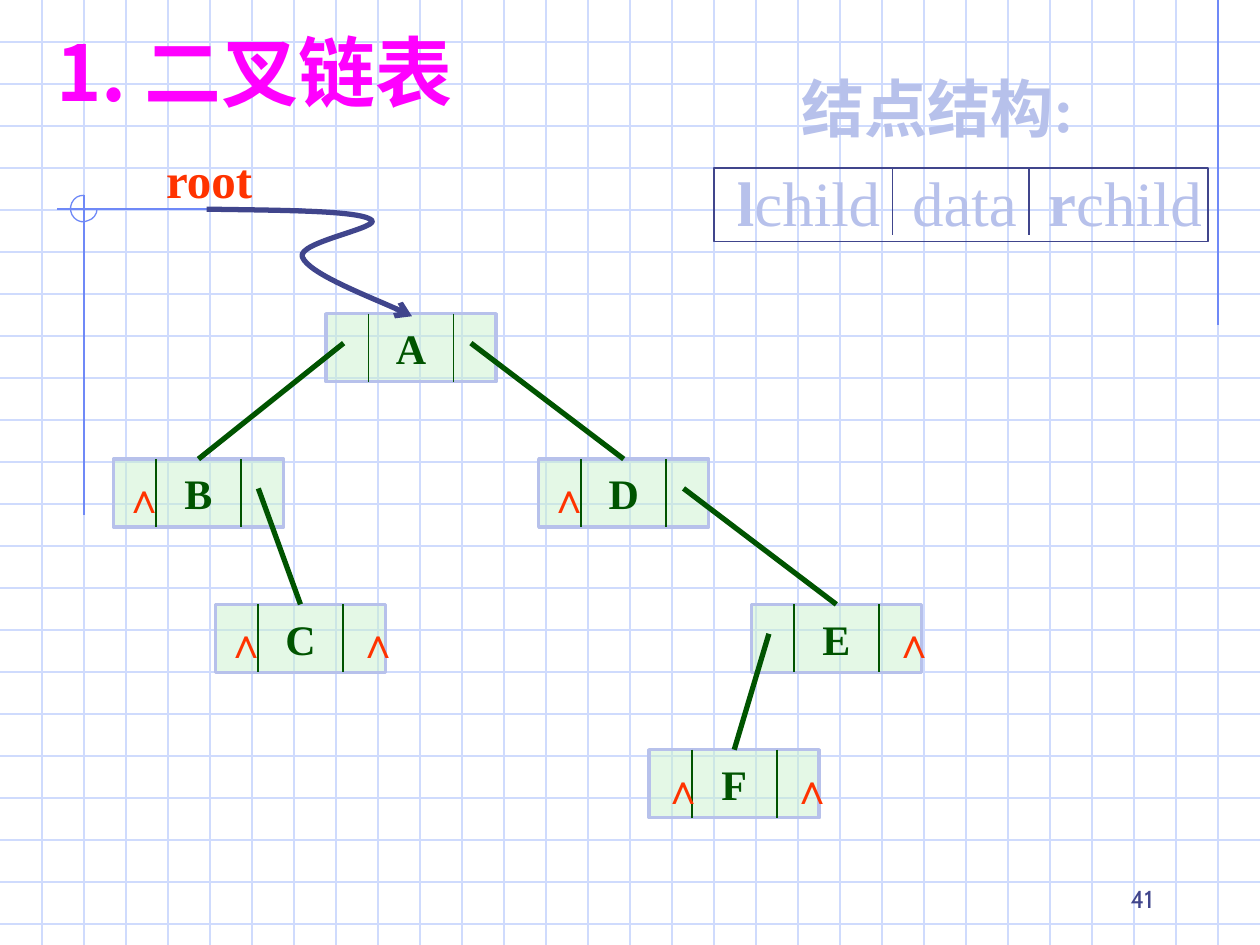
from dataclasses import dataclass
from typing import Optional

from lxml.etree import SubElement
from pptx import Presentation
from pptx.dml.color import RGBColor
from pptx.enum.shapes import MSO_CONNECTOR as Connector, MSO_SHAPE as Preset
from pptx.enum.text import MSO_ANCHOR as Anchor, MSO_AUTO_SIZE as AutoSize, PP_ALIGN as Align
from pptx.oxml.ns import qn
from pptx.util import Emu, Inches, Pt

# The slide is ruled in squares; every length below counts squares.
COLUMNS, ROWS = 30, 22.5
SQUARE = Inches(10) / COLUMNS
GRID, FRAME, NAVY, LILAC = "CFDBFD", "6F89F7", "40458C", "B7C1EB"
GREEN, MINT, RED, MAGENTA = "005400", "CAF2CE", "FF3300", "FF00FF"
SERIF, SANS, CHINESE, NUMBER = "Times New Roman", "Arial", "Noto Sans CJK SC", "Cabin"

# Tree node layout
NODE_WIDTH, NODE_HEIGHT = 4.05, 1.62
CELL = NODE_WIDTH / 4
TREE_LEFT, TREE_TOP, LEVEL_GAP = 2.7, 7.47, 3.46


@dataclass
class Node:
    name: str
    column: float
    level: int
    left_child: Optional[str] = None
    right_child: Optional[str] = None
    mark_offset: float = -0.06

    @property
    def left(self) -> float:
        return TREE_LEFT + self.column * CELL

    @property
    def top(self) -> float:
        return TREE_TOP + self.level * LEVEL_GAP


@dataclass
class Label:
    left: float
    top: float
    width: float
    height: float
    runs: list[tuple[str, bool]]
    size: int
    font: str
    color: str


NODES = [
    Node("A", 5, 0, "B", "D"),
    Node("D", 10, 1, None, "E"),
    Node("E", 15, 2, "F", None),
    Node("B", 0, 1, None, "C"),
    Node("C", 2.4, 2),
    Node("F", 12.6, 3, mark_offset=0.03),
]
ROOT_CURVE = [(4.92, 4.98), (6.69, 5.01), (8.46, 5.01), (8.82, 5.22),
              (9.21, 5.4), (7.05, 5.76), (7.2, 6.12),
              (7.35, 6.51), (9.36, 7.29), (9.81, 7.53)]
CORNER_CURVE = [(2, 4.65), (1.86, 4.65), (1.77, 4.71), (1.71, 4.83),
                (1.65, 4.95), (1.68, 5.1), (1.77, 5.19),
                (1.86, 5.28), (1.98, 5.31), (2.1, 5.25),
                (2.22, 5.22), (2.31, 5.1), (2.31, 4.98)]


def squares(*counts: float) -> list[Emu]:
    return [Emu(round(count * SQUARE)) for count in counts]


def rgb(color: str) -> RGBColor:
    return RGBColor.from_string(color)


def set_line(shape, color: str, width: float) -> None:
    shape.line.color.rgb = rgb(color)
    shape.line.width = Pt(width)


def draw_line(slide, x1: float, y1: float, x2: float, y2: float,
              color: str, width: float) -> None:
    line = slide.shapes.add_connector(Connector.STRAIGHT, *squares(x1, y1, x2, y2))
    set_line(line, color, width)
    SubElement(line._element.spPr, qn("a:effectLst"))


def draw_curve(slide, points: list[tuple[float, float]], color: str, width: float):
    """Draw a chain of cubic curves: a start, then two handles and an end for each."""
    start, *rest = [squares(*point) for point in points]
    builder = slide.shapes.build_freeform(*start)
    builder.add_line_segments(rest, close=False)
    curve = builder.convert_to_shape()
    curve.shadow.inherit = False
    curve.fill.background()
    set_line(curve, color, width)
    # Gather every three straight segments into one cubic segment
    outline = next(curve._element.iter(qn("a:path")))
    segments = outline.findall(qn("a:lnTo"))
    for first in range(0, len(segments), 3):
        cubic = SubElement(outline, qn("a:cubicBezTo"))
        for segment in segments[first:first + 3]:
            cubic.append(segment[0])
            outline.remove(segment)
    return curve


def format_run(run, size: int, font: str, color: str, bold: bool) -> None:
    run.font.size, run.font.name, run.font.bold = Pt(size), font, bold
    run.font.color.rgb = rgb(color)
    SubElement(run._r.get_or_add_rPr(), qn("a:ea")).set("typeface", CHINESE)


def draw_label(slide, label: Label):
    box = slide.shapes.add_textbox(*squares(label.left, label.top, label.width, label.height))
    box.text_frame.word_wrap = False
    box.text_frame.auto_size = AutoSize.SHAPE_TO_FIT_TEXT
    paragraph = box.text_frame.paragraphs[0]
    for text, bold in label.runs:
        run = paragraph.add_run()
        run.text = text
        format_run(run, label.size, label.font, label.color, bold)
    return paragraph


def draw_box(slide, left: float, top: float, width: float, height: float,
             color: str, line_width: float):
    box = slide.shapes.add_shape(Preset.RECTANGLE, *squares(left, top, width, height))
    box.shadow.inherit = False
    box.fill.background()
    set_line(box, color, line_width)
    return box


def draw_node(slide, node: Node) -> None:
    box = draw_box(slide, node.left, node.top, NODE_WIDTH, NODE_HEIGHT, LILAC, 2)
    box.fill.solid()
    box.fill.fore_color.rgb = rgb(MINT)
    tint = box._element.spPr.find(qn("a:solidFill"))[0]
    SubElement(tint, qn("a:alpha")).set("val", "50000")
    frame = box.text_frame
    frame.text, frame.word_wrap, frame.vertical_anchor = node.name, False, Anchor.MIDDLE
    frame.paragraphs[0].alignment = Align.CENTER
    format_run(frame.paragraphs[0].runs[0], 24, SERIF, GREEN, True)
    for x in (node.left + CELL, node.left + 3 * CELL):
        draw_line(slide, x, node.top, x, node.top + NODE_HEIGHT, GREEN, 1)


def draw_links(slide, node: Node, tree: dict[str, Node]) -> None:
    """Join each pointer cell to its child, or mark it as empty."""
    for child_name, link_offset, mark_offset in (
            (node.left_child, 0.42, node.mark_offset),
            (node.right_child, NODE_WIDTH - 0.6, 3.09)):
        if child_name:
            child = tree[child_name]
            draw_line(slide, node.left + link_offset, node.top + 0.7,
                      child.left + NODE_WIDTH / 2, child.top, GREEN, 3)
        else:
            draw_label(slide, Label(node.left + mark_offset, node.top + 0.15, 0.93, 1.5,
                                    [("∧", True)], 24, SANS, RED))


def draw_background(slide) -> None:
    for row in range(1, int(ROWS) + 1):
        draw_line(slide, 0, row, COLUMNS, row, GRID, 0.75)
    for column in range(1, COLUMNS):
        draw_line(slide, column, 0, column, ROWS, GRID, 0.75)
    # Margin rules and the ring where they cross
    for ends in ((29, 0, 29, 7.75), (7.2, 4.98, 1.35, 4.98), (2, 4.65, 2, 12.27)):
        draw_line(slide, *ends, FRAME, 0.75)
    draw_curve(slide, CORNER_CURVE, FRAME, 0.75)


def draw_structure(slide) -> None:
    fields = [("l", True), ("child\tdata\t", False), ("r", True), ("child", False)]
    paragraph = draw_label(slide, Label(17.25, 3.75, 11.67, 2.1, fields, 36, SERIF, LILAC))
    stops = SubElement(paragraph._p.get_or_add_pPr(), qn("a:tabLst"))
    for position in squares(4.17, 7.41):
        stop = SubElement(stops, qn("a:tab"))
        stop.set("pos", str(position))
        stop.set("algn", "l")
    draw_box(slide, 17, 4, 11.76, 1.75, NAVY, 1)
    for x in (21.25, 24.5):
        draw_line(slide, x, 4, x, 5.6, NAVY, 1)
    draw_label(slide, Label(18.78, 1.5, 7.44, 2.1, [("结点结构:", True)], 36, SERIF, LILAC))


def main() -> None:
    presentation = Presentation()
    presentation.slide_width, presentation.slide_height = squares(COLUMNS, ROWS)
    slide = presentation.slides.add_slide(presentation.slide_layouts[6])
    draw_background(slide)
    draw_structure(slide)

    # Tree
    tree = {node.name: node for node in NODES}
    for node in NODES:
        draw_node(slide, node)
    for node in NODES:
        draw_links(slide, node, tree)

    # Root pointer
    draw_label(slide, Label(3.66, 3.42, 2.67, 1.71, [("root", True)], 28, SERIF, RED))
    pointer = draw_curve(slide, ROOT_CURVE, NAVY, 3)
    SubElement(pointer.line._get_or_add_ln(), qn("a:tailEnd")).set("type", "arrow")

    # Title and slide number
    title = draw_label(slide, Label(1.05, 0, 11.13, 2.94, [("1. 二叉链表", True)],
                                    44, CHINESE, MAGENTA))
    title.line_spacing = 1.2
    number = draw_label(slide, Label(26.6, 20.9, 1.15, 1.1, [("41", False)], 14, NUMBER, NAVY))
    number.alignment = Align.RIGHT
    presentation.save("out.pptx")


if __name__ == "__main__":
    main()
